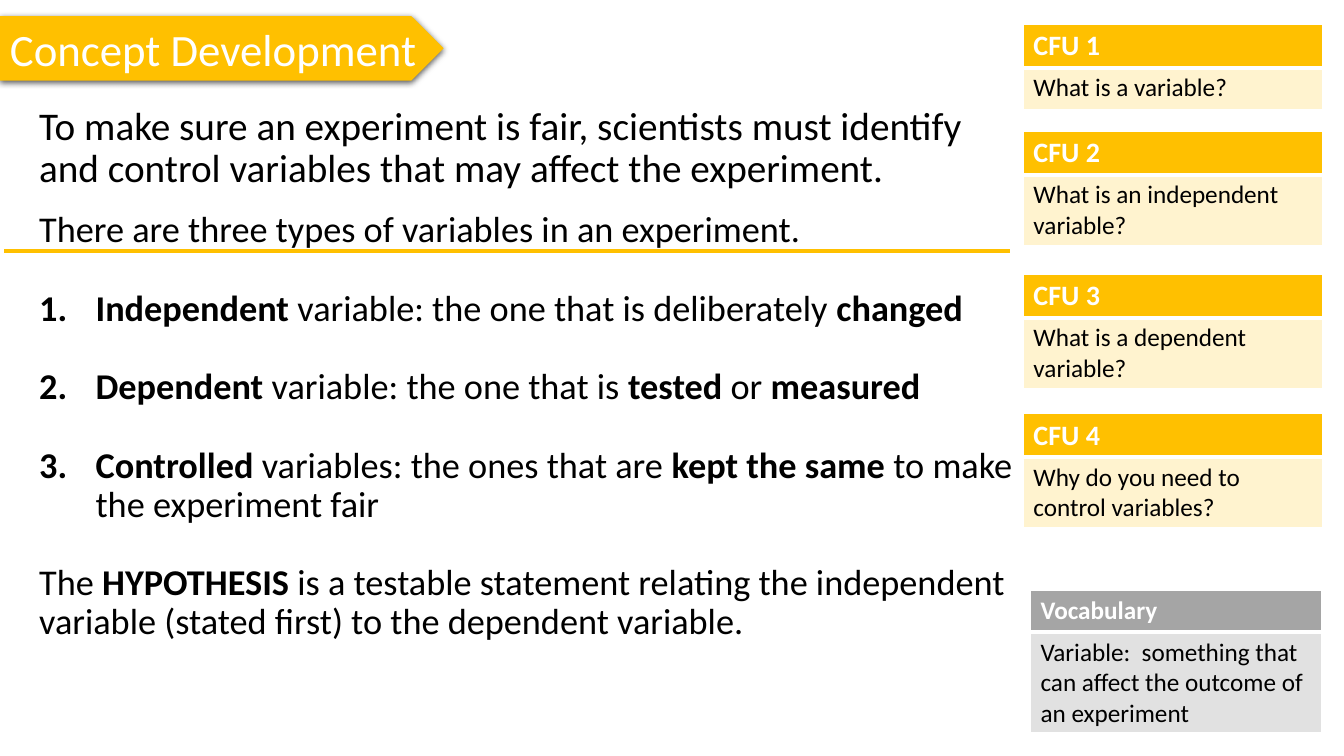
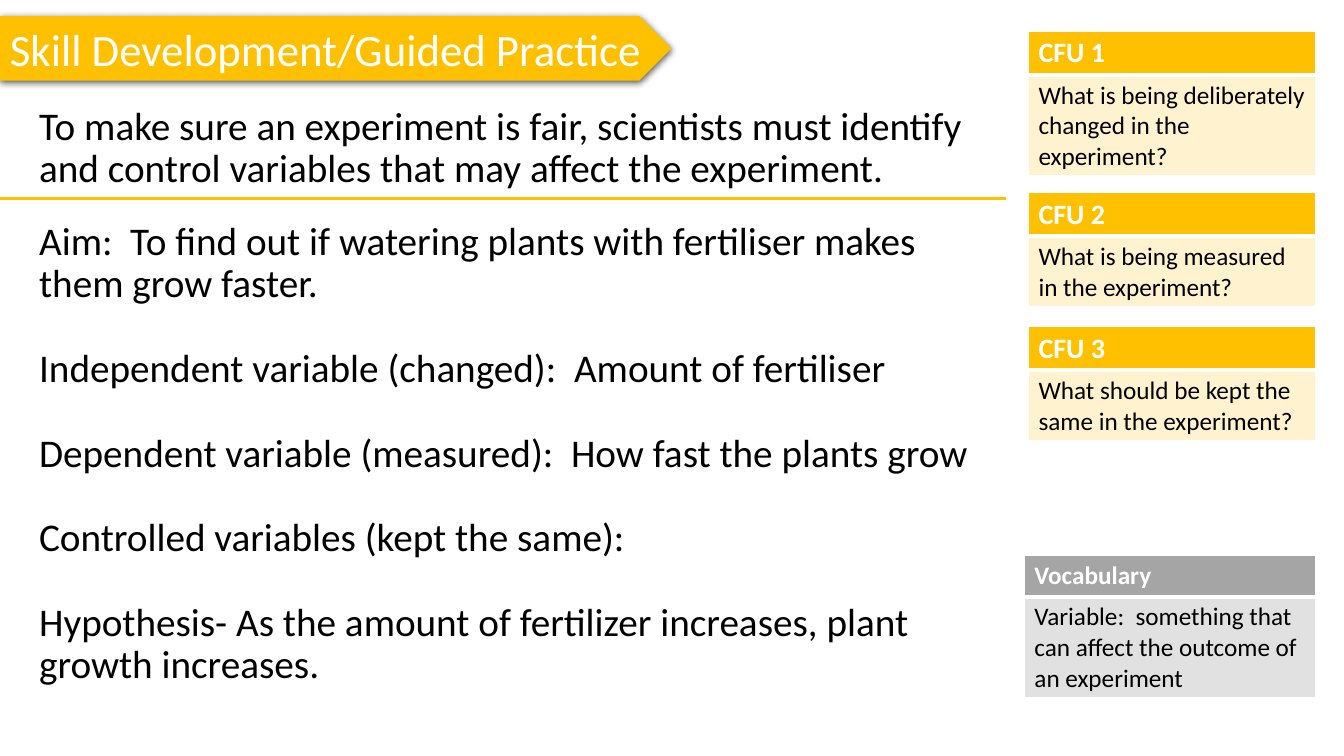
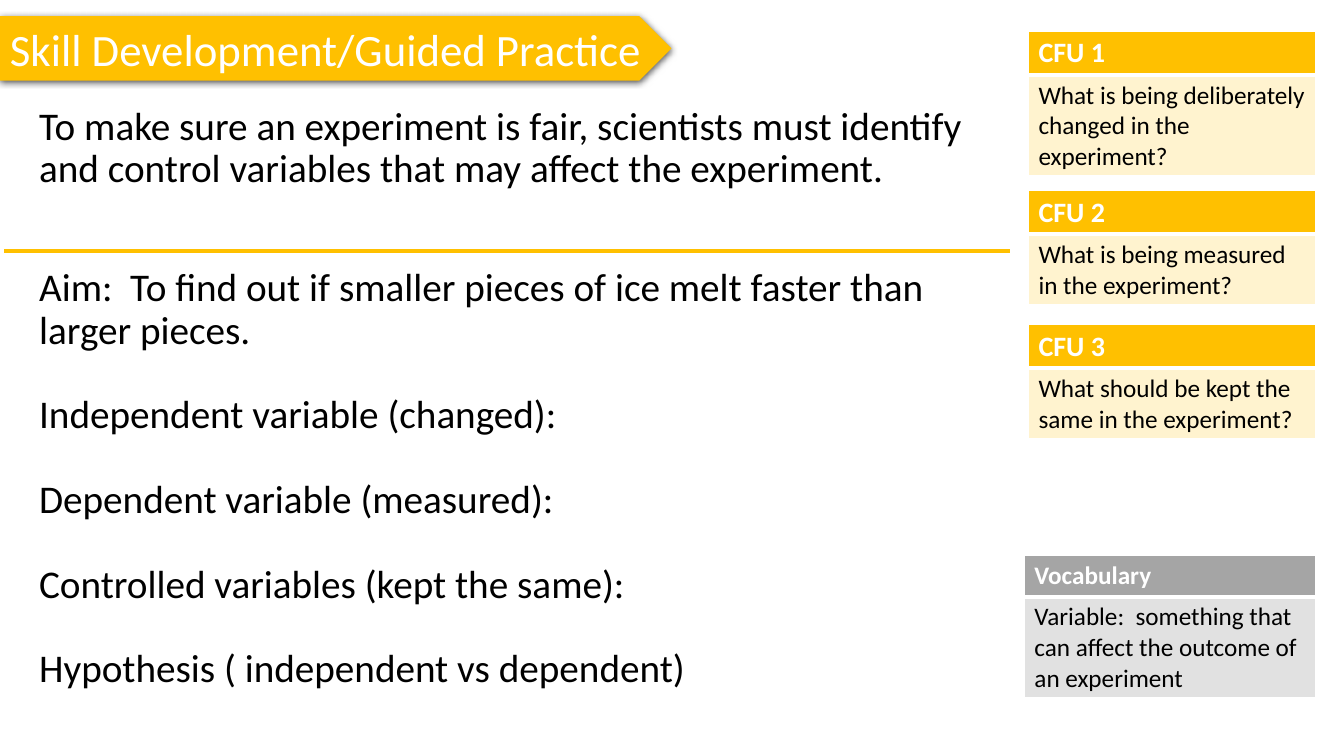
from dataclasses import dataclass

from lxml import etree
from pptx import Presentation
from pptx.dml.color import RGBColor
from pptx.enum.shapes import MSO_CONNECTOR, MSO_SHAPE
from pptx.enum.text import MSO_ANCHOR, MSO_AUTO_SIZE, PP_ALIGN
from pptx.oxml.ns import qn
from pptx.slide import Slide
from pptx.table import _Cell
from pptx.text.text import TextFrame, _Paragraph
from pptx.util import Inches, Pt

PENTAGON = MSO_SHAPE.PENTAGON
STRAIGHT = MSO_CONNECTOR.STRAIGHT
LEFT = PP_ALIGN.LEFT
TOP = MSO_ANCHOR.TOP
MIDDLE = MSO_ANCHOR.MIDDLE
FIT_SHAPE = MSO_AUTO_SIZE.SHAPE_TO_FIT_TEXT


@dataclass(frozen=True)
class Theme:
    font: str = "Calibri"
    accent: str = "FFC000"
    question: str = "FFE699"
    question_opacity: int = 47
    vocabulary: str = "A5A5A5"
    definition: str = "E1E1E1"
    white: str = "FFFFFF"
    black: str = "000000"
    title_size: float = 32
    body_size: float = 28
    compact_size: float = 25.9
    check_size: float = 20
    card_size: float = 18
    line_spacing: float = 0.9
    gap_per_point: float = 1.08
    indent: float = 0.56


THEME = Theme()


@dataclass(frozen=True)
class CardStyle:
    header_fill: str
    header_size: float
    header_height: float
    body_fill: str
    body_opacity: int = 100


@dataclass(frozen=True)
class Card:
    heading: str
    body: str
    top: float
    height: float


@dataclass(frozen=True)
class Line:
    text: str
    numbered: bool = False


@dataclass(frozen=True)
class Lesson:
    title: str
    title_width: float
    intro_width: float
    intro_height: float
    rule_left: float
    rule_top: float
    body_top: float
    body_width: float
    body_height: float
    body_size: float
    lines: tuple[Line, ...]
    checks_left: float
    checks_width: float
    checks: tuple[Card, ...]
    vocabulary_left: float
    vocabulary_top: float


CHECK_STYLE = CardStyle(THEME.accent, THEME.check_size, 0.43,
                        THEME.question, THEME.question_opacity)
VOCABULARY_STYLE = CardStyle(THEME.vocabulary, THEME.card_size, 0.41, THEME.definition)

TEXT_LEFT = 0.29
INTRO_TOP = 1.01
RULE_LENGTH = 9.98
VOCABULARY_WIDTH = 2.89
INTRO = ("To make sure an experiment is fair, scientists must identify and control "
         "variables that may affect the experiment.")
DEFINITION = "Variable:  something that can affect the outcome of an experiment"


def practice(rule_left: float, rule_top: float, body_top: float, body_height: float,
             second_top: float, third_top: float, texts: tuple[str, ...]) -> Lesson:
    return Lesson(
        title="Skill Development/Guided Practice", title_width=6.66,
        intro_width=9.76, intro_height=1.31,
        rule_left=rule_left, rule_top=rule_top,
        body_top=body_top, body_width=9.76, body_height=body_height,
        body_size=THEME.body_size, lines=tuple(Line(text) for text in texts),
        checks_left=10.2, checks_width=2.85,
        checks=(
            Card("CFU 1", "What is being deliberately changed in the experiment?", 0.31, 1.43),
            Card("CFU 2", "What is being measured in the experiment?", second_top, 1.13),
            Card("CFU 3", "What should be kept the same in the experiment?", third_top, 1.13),
        ),
        vocabulary_left=10.16, vocabulary_top=5.51,
    )


LESSONS = (
    Lesson(
        title="Concept Development", title_width=4.4,
        intro_width=9.86, intro_height=1.43,
        rule_left=0.04, rule_top=2.49,
        body_top=2.05, body_width=9.98, body_height=4.59,
        body_size=THEME.compact_size,
        lines=(
            Line("There are three types of variables in an experiment."),
            Line("*Independent *variable: the one that is deliberately *changed*", True),
            Line("*Dependent* variable: the one that is *tested* or *measured*", True),
            Line("*Controlled* variables: the ones that are *kept the same *"
                 "to make the experiment fair", True),
            Line("The *HYPOTHESIS* is a testable statement relating the independent "
                 "variable (stated first) to the dependent variable."),
        ),
        checks_left=10.15, checks_width=2.97,
        checks=(
            Card("CFU 1", "What is a variable?", 0.24, 0.84),
            Card("CFU 2", "What is an independent variable?", 1.3, 1.13),
            Card("CFU 3", "What is a dependent variable?", 2.72, 1.13),
            Card("CFU 4", "Why do you need to control variables?", 4.1, 1.13),
        ),
        vocabulary_left=10.22, vocabulary_top=5.86,
    ),
    practice(0, 1.97, 2.15, 4.98, 1.91, 3.24, (
        "Aim:  To find out if watering plants with fertiliser makes them grow faster.",
        "Independent variable (changed):  Amount of fertiliser",
        "Dependent variable (measured):  How fast the plants grow",
        "Controlled variables (kept the same):",
        "Hypothesis- As the amount of fertilizer increases, plant growth increases.",
    )),
    practice(0.04, 2.49, 2.61, 4.52, 1.89, 3.22, (
        "Aim:  To find out if smaller pieces of ice melt faster than larger pieces.",
        "Independent variable (changed):",
        "Dependent variable (measured):",
        "Controlled variables (kept the same):",
        "Hypothesis ( independent vs dependent)",
    )),
)


def rgb(color: str) -> RGBColor:
    return RGBColor.from_string(color)


def add_color(parent: etree._Element, color: str, opacity: int) -> None:
    element = etree.SubElement(parent, qn("a:srgbClr"), val=color)
    etree.SubElement(element, qn("a:alpha"), val=str(opacity * 1000))


def write_runs(paragraph: _Paragraph, marked_text: str, size: float, color: str,
               bold: bool = False) -> None:
    for index, text in enumerate(marked_text.split("*")):
        if not text:
            continue
        run = paragraph.add_run()
        run.text = text
        run.font.name = THEME.font
        run.font.size = Pt(size)
        run.font.bold = bold or index % 2 == 1
        run.font.color.rgb = rgb(color)


def write_lines(text_frame: TextFrame, lines: tuple[Line, ...], size: float) -> None:
    for index, line in enumerate(lines):
        paragraph = text_frame.add_paragraph() if index else text_frame.paragraphs[0]
        if line.numbered:
            properties = paragraph._p.get_or_add_pPr()
            properties.set("marL", str(Inches(THEME.indent)))
            properties.set("indent", str(-Inches(THEME.indent)))
            etree.SubElement(properties, qn("a:buAutoNum"), type="arabicPeriod")
        paragraph.line_spacing = THEME.line_spacing
        if index:
            paragraph.space_before = Pt(round(size * THEME.gap_per_point, 1))
        write_runs(paragraph, line.text, size, THEME.black)


def add_text(slide: Slide, top: float, width: float, height: float,
             lines: tuple[Line, ...], size: float) -> None:
    shape = slide.shapes.add_textbox(Inches(TEXT_LEFT), Inches(top),
                                     Inches(width), Inches(height))
    shape.text_frame.word_wrap = True
    shape.text_frame.vertical_anchor = TOP
    write_lines(shape.text_frame, lines, size)


def add_title(slide: Slide, title: str, width: float) -> None:
    shape = slide.shapes.add_shape(PENTAGON, 0, Inches(0.16), Inches(width), Inches(0.64))
    shape.fill.solid()
    shape.fill.fore_color.rgb = rgb(THEME.accent)
    shape.line.fill.background()
    shape.shadow.inherit = False
    effects = shape._element.spPr.find(qn("a:effectLst"))
    shadow = etree.SubElement(effects, qn("a:outerShdw"), blurRad=str(Pt(4.5)),
                              dist=str(Pt(1.5)), dir="5400000", rotWithShape="0")
    add_color(shadow, THEME.black, 63)
    text_frame = shape.text_frame
    text_frame.word_wrap = False
    text_frame.auto_size = FIT_SHAPE
    text_frame.vertical_anchor = MIDDLE
    paragraph = text_frame.paragraphs[0]
    paragraph.alignment = LEFT
    write_runs(paragraph, title, THEME.title_size, THEME.white)


def add_rule(slide: Slide, left: float, top: float) -> None:
    connector = slide.shapes.add_connector(STRAIGHT, Inches(left), Inches(top),
                                           Inches(left + RULE_LENGTH), Inches(top))
    connector.line.color.rgb = rgb(THEME.accent)
    connector.line.width = Pt(2.25)
    etree.SubElement(connector._element.spPr, qn("a:effectLst"))


def format_cell(cell: _Cell, text: str, size: float, color: str, bold: bool,
                fill: str, opacity: int, thick_side: str) -> None:
    write_runs(cell.text_frame.paragraphs[0], text, size, color, bold)
    properties = cell._tc.get_or_add_tcPr()
    for side in ("lnL", "lnR", "lnT", "lnB"):
        width = Pt(3 if side == thick_side else 1)
        border = etree.SubElement(properties, qn(f"a:{side}"), w=str(width))
        add_color(etree.SubElement(border, qn("a:solidFill")), THEME.white, 100)
    add_color(etree.SubElement(properties, qn("a:solidFill")), fill, opacity)


def add_card(slide: Slide, card: Card, left: float, width: float, style: CardStyle) -> None:
    frame = slide.shapes.add_table(2, 1, Inches(left), Inches(card.top),
                                   Inches(width), Inches(card.height))
    table = frame.table
    table.horz_banding = False
    table.rows[0].height = Inches(style.header_height)
    table.rows[1].height = Inches(card.height - style.header_height)
    format_cell(table.cell(0, 0), card.heading, style.header_size, THEME.white, True,
                style.header_fill, 100, "lnB")
    format_cell(table.cell(1, 0), card.body, THEME.card_size, THEME.black, False,
                style.body_fill, style.body_opacity, "lnT")


def add_lesson(slide: Slide, lesson: Lesson) -> None:
    add_title(slide, lesson.title, lesson.title_width)
    add_text(slide, INTRO_TOP, lesson.intro_width, lesson.intro_height,
             (Line(INTRO),), THEME.body_size)
    add_text(slide, lesson.body_top, lesson.body_width, lesson.body_height,
             lesson.lines, lesson.body_size)
    add_rule(slide, lesson.rule_left, lesson.rule_top)
    for check in lesson.checks:
        add_card(slide, check, lesson.checks_left, lesson.checks_width, CHECK_STYLE)
    vocabulary = Card("Vocabulary", DEFINITION, lesson.vocabulary_top, 1.41)
    add_card(slide, vocabulary, lesson.vocabulary_left, VOCABULARY_WIDTH, VOCABULARY_STYLE)


def main() -> None:
    presentation = Presentation()
    presentation.slide_width = Inches(13.33)
    presentation.slide_height = Inches(7.5)
    blank_layout = presentation.slide_layouts[6]
    for lesson in LESSONS:
        add_lesson(presentation.slides.add_slide(blank_layout), lesson)
    presentation.save("out.pptx")


if __name__ == "__main__":
    main()
